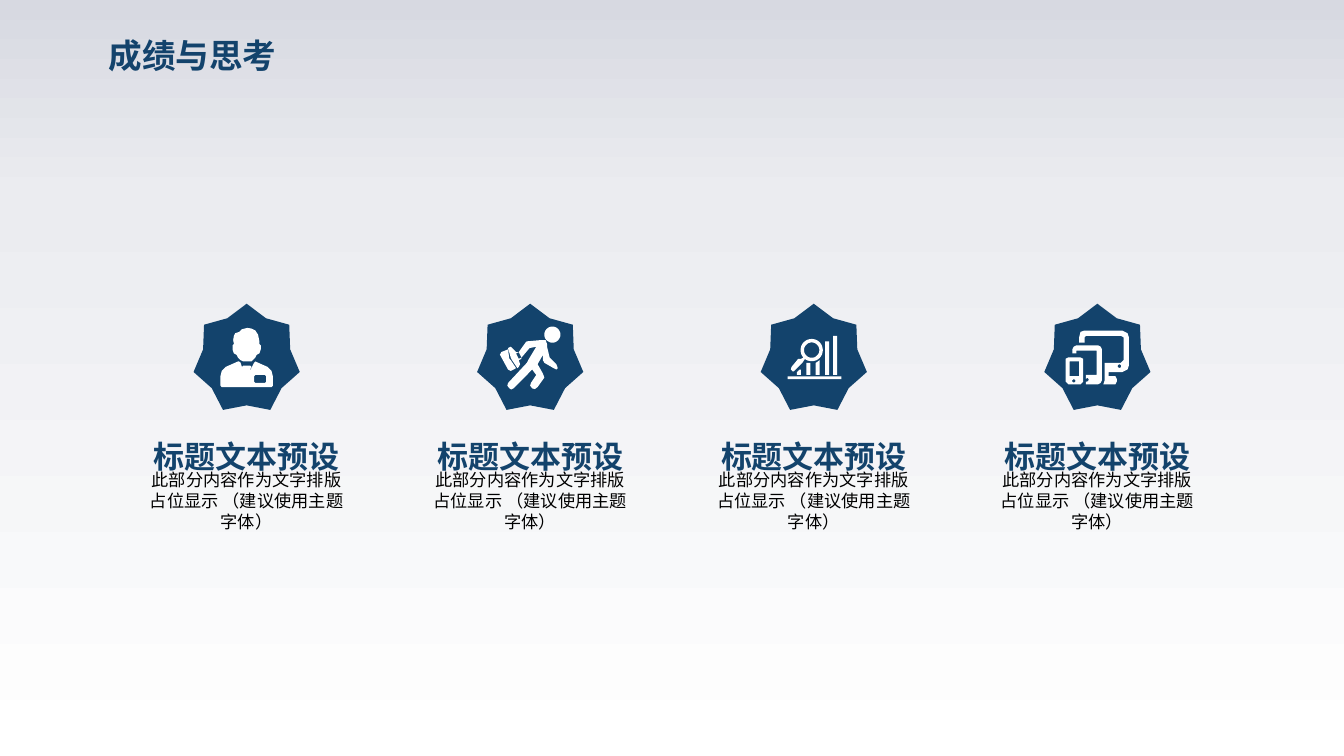
from copy import deepcopy
from dataclasses import dataclass
from math import cos, pi, sin

from pptx import Presentation
from pptx.dml.color import RGBColor as Rgb
from pptx.enum.shapes import MSO_SHAPE as Shape
from pptx.enum.text import MSO_ANCHOR as Anchor, MSO_AUTO_SIZE as AutoSize, PP_ALIGN as Align
from pptx.oxml.ns import qn
from pptx.util import Inches, Pt


@dataclass(frozen=True)
class Theme:
    font: str = "Arial"
    navy: Rgb = Rgb(0x13, 0x43, 0x6C)
    black: Rgb = Rgb(0, 0, 0)
    white: Rgb = Rgb(255, 255, 255)
    backdrop: tuple = ((0, "D7D9E1"), (0.26, "EBECF0"), (1, "FFFFFF"))
    title_size: float = 18
    heading_size: float = 16.6
    body_size: float = 9.2


theme = Theme()

# Grid in inches
FIRST_COLUMN, COLUMN_STEP, COLUMN_WIDTH = 1.08, 2.11, 1.51
BADGE_ROW, HEADING_ROW, BODY_ROW = 2.26, 3.27, 3.49
BADGE_SIZE = 0.79
BADGE_INSET = (COLUMN_WIDTH - BADGE_SIZE) / 2


def circle(x, y, radius, steps=32):
    return [(x + radius * cos(2 * pi * i / steps), y + radius * sin(2 * pi * i / steps))
            for i in range(steps)]


def add_text(shapes, box, text, size, color, bold, wrap):
    label = shapes.add_textbox(*map(Inches, box))
    frame = label.text_frame
    frame.text = text
    frame.word_wrap = wrap
    font = frame.paragraphs[0].runs[0].font
    font.name, font.size, font.bold = theme.font, Pt(size), bold
    font.color.rgb = color
    return frame


# Icon outlines in hundredths of an inch from the badge's corner; inner outlines are holes
employee = [
    [(46, 53), (45, 54), (45, 58), (46, 59), (53, 59), (54, 58), (54, 54), (53, 53)],
    [(33, 43), (34, 43), (35, 44), (37, 50), (37, 49), (36, 47), (37, 46), (42, 46),
     (43, 47), (42, 49), (42, 50), (45, 44), (46, 43), (55, 47), (58, 50), (59, 54),
     (59, 61), (58, 62), (21, 62), (20, 61), (20, 54), (21, 50), (24, 47)],
    [(40, 18), (43, 18.5), (46, 20), (48, 23), (49, 28), (49, 30), (50, 31), (50, 34),
     (49, 37), (47, 38), (46, 40), (44, 42), (43, 43), (37, 43), (35, 42), (33, 40),
     (32, 38), (30, 37), (29, 34), (29, 31), (30, 30), (29.5, 27), (30, 24), (31, 22),
     (34, 21), (36, 19)],
]
commuter = [
    [(23, 34), (24, 41), (25, 42), (29, 48), (25, 50), (23, 49), (17, 38), (18, 36)],
    [(23, 33), (25, 32), (27, 34), (29, 36), (31, 36), (29, 37), (31, 41), (33, 40),
     (33, 41), (31, 42), (32, 45), (31, 47), (30, 48), (26, 42), (25, 40)],
    [(48, 27), (51, 27), (52, 30), (52, 32), (54, 40), (59, 45), (60, 48), (59, 49),
     (57, 48), (50, 44), (49, 42), (49, 38), (45, 45), (49, 52), (50, 55), (45, 62),
     (43, 63.5), (41, 63), (39.5, 61), (40, 59), (44, 53), (41, 49), (27, 63),
     (25.5, 63.8), (24, 63), (22.5, 61), (23, 59), (37, 44), (38, 42), (44, 32),
     (39, 33), (34, 39), (33, 40), (31, 36), (36, 29), (37, 28)],
    circle(56, 23, 6),
]
analysis = [
    [(20, 54), (60, 54), (60, 56), (20, 56)],
    [(29, 49), (30, 49), (30, 53), (27, 53), (27, 51)],
    [(34, 44), (37, 44), (37, 53), (34, 53)],
    [(44, 42), (44, 53), (41, 53), (41, 44)],
    [(48, 28), (51, 28), (51, 53), (48, 53)],
    [(54, 24), (57, 24), (57, 53), (54, 53)],
    circle(38, 34.5, 8.3),
    circle(38, 34.5, 5.7),
    [(30, 41), (32, 40), (33, 41), (31, 44), (25, 50), (24, 50.5), (22.5, 49),
     (23, 47), (28, 41)],
]
devices = [
    circle(22, 57.5, 1.2),
    circle(56, 46.5, 1.3),
    [(19, 43), (19, 54), (26, 54), (26, 43)],
    [(18, 40), (27, 40), (29, 41), (29, 58), (27, 60), (18, 60), (16, 58), (16, 41)],
    [(24, 31), (40, 31), (42, 32), (43, 34), (43, 57), (42, 59), (40, 60), (31, 60),
     (31, 58), (32, 58), (33, 57), (33, 56), (32, 55), (31, 56), (31, 53), (39, 53),
     (39, 35), (24, 35), (24, 37), (21, 37), (21, 34), (22, 32)],
    [(30, 20), (58, 20), (62, 22), (63, 25), (63, 46), (62, 49), (58, 51), (48, 51),
     (48, 54), (53, 54), (54, 56), (54, 58), (53, 60), (44, 60), (45, 57), (45, 44),
     (57, 44), (59, 42), (59, 25), (57, 24), (31, 24), (30, 25), (30, 29), (26, 29),
     (26, 25), (27, 21)],
]

deck = Presentation()
deck.slide_width = Inches(10)
deck.slide_height = deck.slide_width * 9 // 16
slide = deck.slides.add_slide(deck.slide_layouts[6])

backdrop = slide.background.fill
backdrop.gradient()
backdrop.gradient_angle = 270
stop_list = slide.element.find(".//" + qn("a:gsLst"))
stop_list.append(deepcopy(stop_list[-1]))
for stop, (position, color) in zip(backdrop.gradient_stops, theme.backdrop):
    stop.position = position
    stop.color.rgb = Rgb.from_string(color)

title = add_text(slide.shapes, (0.71, 0.21, 1.46, 0.4), "成绩与思考",
                 theme.title_size, theme.navy, True, False)
title.auto_size = AutoSize.SHAPE_TO_FIT_TEXT

for column, icon_outlines in enumerate((employee, commuter, analysis, devices)):
    left = FIRST_COLUMN + column * COLUMN_STEP
    badge_left = left + BADGE_INSET
    topic = slide.shapes.add_group_shape().shapes

    badge = topic.add_shape(Shape.STAR_7_POINT, Inches(badge_left), Inches(BADGE_ROW),
                            Inches(BADGE_SIZE), Inches(BADGE_SIZE))
    badge.adjustments[0] = 0.41

    # Thousandths of an inch keep the circles smooth
    outlines = [[(x * 10, y * 10) for x, y in outline] for outline in icon_outlines]
    builder = topic.build_freeform(*outlines[0][0], scale=Inches(1) / 1000)
    for number, outline in enumerate(outlines):
        if number:
            builder.move_to(*outline[0])
        builder.add_line_segments(outline[1:], close=True)
    icon = builder.convert_to_shape(Inches(badge_left), Inches(BADGE_ROW))

    for part, color in ((badge, theme.navy), (icon, theme.white)):
        part.fill.solid()
        part.fill.fore_color.rgb = color
        part.line.fill.background()
        part.shadow.inherit = False

    body = add_text(topic, (left, BODY_ROW, COLUMN_WIDTH, 0.47),
                    "此部分内容作为文字排版占位显示 （建议使用主题字体）",
                    theme.body_size, theme.black, False, True)
    heading = add_text(topic, (left, HEADING_ROW, COLUMN_WIDTH, 0.24), "标题文本预设",
                       theme.heading_size, theme.navy, True, False)
    for frame in (body, heading):
        frame.margin_left = frame.margin_right = frame.margin_top = frame.margin_bottom = 0
        frame.vertical_anchor = Anchor.MIDDLE
        frame.paragraphs[0].alignment = Align.CENTER

deck.save("out.pptx")
